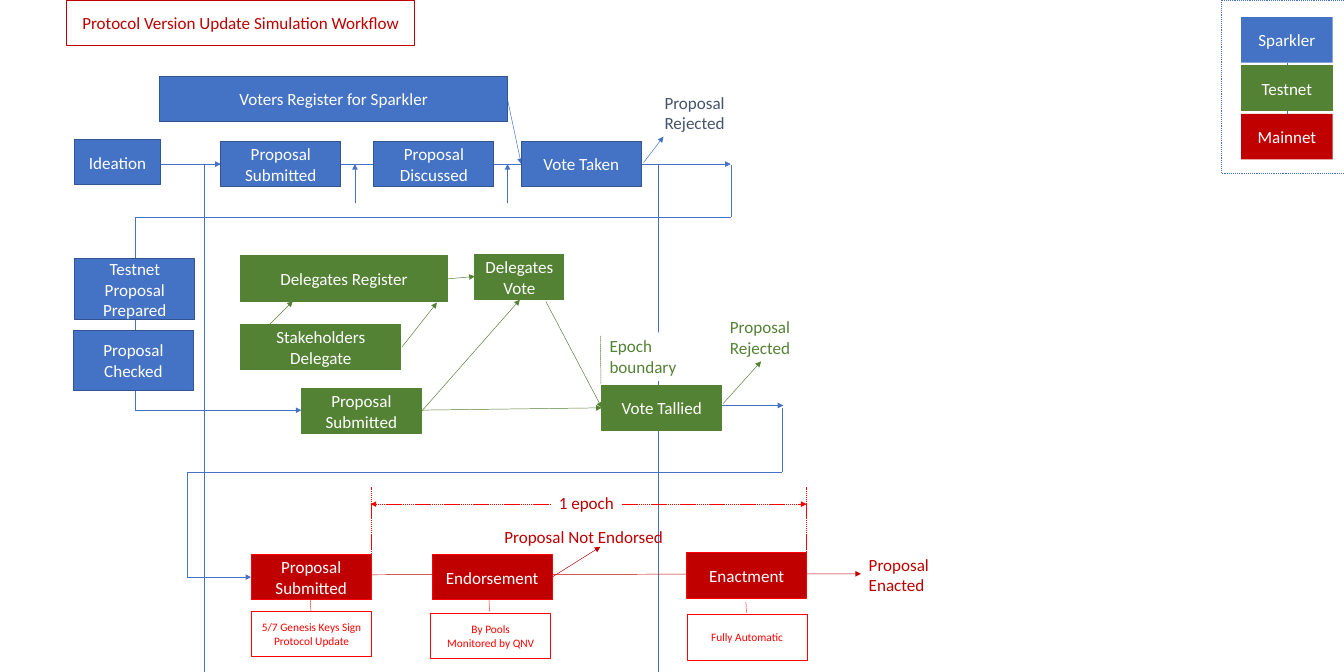
"""Build the protocol version update simulation workflow slide."""
from lxml.etree import SubElement
from pptx import Presentation
from pptx.dml.color import RGBColor
from pptx.enum.dml import MSO_LINE
from pptx.enum.shapes import MSO_CONNECTOR, MSO_SHAPE
from pptx.enum.text import MSO_ANCHOR, PP_ALIGN
from pptx.oxml.ns import qn
from pptx.util import Pt

WHITE = RGBColor(0xFF, 0xFF, 0xFF)
BLUE = RGBColor(0x44, 0x72, 0xC4)
NAVY = RGBColor(0x32, 0x54, 0x91)
SLATE = RGBColor(0x44, 0x54, 0x6A)
GREEN = RGBColor(0x54, 0x82, 0x35)
DARK_RED = RGBColor(0xC0, 0x00, 0x00)
RED = RGBColor(0xFF, 0x00, 0x00)

SLIDE_WIDTH, SLIDE_HEIGHT = 1418, 708.5
STEP_WIDTH, STEP_HEIGHT, TALL_HEIGHT = 126.5, 48, 64
TITLE = "Protocol Version Update Simulation Workflow"
TITLE_BOX = (70.5, 0, 367, STEP_HEIGHT)

STYLES = {
    "sparkler": {"fill": BLUE, "border": NAVY, "color": WHITE},
    "testnet": {"fill": GREEN, "border": GREEN, "color": WHITE},
    "mainnet": {"fill": DARK_RED, "border": RED, "color": WHITE},
    "note": {"fill": WHITE, "border": RED, "color": RED, "size": 12},
}

STEPS = [
    ("Voters Register for Sparkler", "sparkler", 168.5, 80.5, 367, STEP_HEIGHT),
    ("Ideation", "sparkler", 79, 147, 90, STEP_HEIGHT),
    ("Proposal Submitted", "sparkler", 233, 149, STEP_WIDTH, STEP_HEIGHT),
    ("Proposal Discussed", "sparkler", 394.5, 149, STEP_WIDTH, STEP_HEIGHT),
    ("Vote Taken", "sparkler", 550, 149, STEP_WIDTH, STEP_HEIGHT),
    ("Testnet\nProposal\nPrepared", "sparkler", 79, 273, STEP_WIDTH, TALL_HEIGHT),
    ("Proposal\nChecked", "sparkler", 77.5, 348, STEP_WIDTH, TALL_HEIGHT),
    ("Delegates Register", "testnet", 253.5, 269.5, 219, STEP_HEIGHT),
    ("Stakeholders Delegate", "testnet", 254, 342, 169, STEP_HEIGHT),
    ("Delegates Vote", "testnet", 501, 268, 94, STEP_HEIGHT),
    ("Proposal Submitted", "testnet", 318, 409.5, STEP_WIDTH, STEP_HEIGHT),
    ("Vote Tallied", "testnet", 635, 406, STEP_WIDTH, STEP_HEIGHT),
    ("Proposal Submitted", "mainnet", 265, 584.5, STEP_WIDTH, STEP_HEIGHT),
    ("Endorsement", "mainnet", 456, 584.5, STEP_WIDTH, STEP_HEIGHT),
    ("Enactment", "mainnet", 724.5, 582.5, STEP_WIDTH, STEP_HEIGHT),
    ("5/7 Genesis Keys Sign\nProtocol Update", "note", 265.5, 644.5, STEP_WIDTH, STEP_HEIGHT),
    ("By Pools\nMonitored by QNV", "note", 454.5, 646.5, STEP_WIDTH, STEP_HEIGHT),
    ("Fully Automatic", "note", 725, 648, STEP_WIDTH, STEP_HEIGHT),
]

LABELS = [
    ("Proposal\nRejected", SLATE, None, 694, 93.5, 78.5, 51),
    ("Proposal\nRejected", GREEN, None, 763, 330.5, 78.5, 51),
    ("Proposal\nEnacted", DARK_RED, None, 909.5, 581, 78.5, 51),
    ("Proposal Not Endorsed", DARK_RED, None, 525, 551, 220, 29),
    ("1 epoch", DARK_RED, WHITE, 582.5, 515.5, 73.5, 29),
    ("Epoch boundary", GREEN, WHITE, 636, 350.5, 98.5, 51),
]

LEGEND = [("Sparkler", BLUE, None), ("Testnet", GREEN, GREEN), ("Mainnet", DARK_RED, None)]
LEGEND_FRAME = (1289, 0, 129, 183)
LEGEND_LEFT, LEGEND_TOP, LEGEND_WIDTH, LEGEND_PITCH = 1309.5, 18, 96.5, 51

ARROWS = [
    (BLUE, [(84, 173), (771, 173)]),
    (BLUE, [(535.5, 105), (550, 173)]),
    (BLUE, [(374.5, 214.5), (374.5, 173)]),
    (BLUE, [(535.5, 214.5), (535.5, 173)]),
    (BLUE, [(215.5, 173), (233, 173)]),
    (BLUE, [(679, 171.5), (700, 144)]),
    (BLUE, [(771, 174), (771, 229), (142.5, 229), (142.5, 432.5), (318, 432.5)]),
    (BLUE, [(761, 427.5), (826.5, 427.5)]),
    (BLUE, [(825, 430), (825, 498), (197.5, 498), (197.5, 608.5), (265, 608.5)]),
    (GREEN, [(318, 434), (635, 430)]),
    (GREEN, [(576, 318), (635, 430)]),
    (GREEN, [(284.5, 342), (309, 317.5)]),
    (GREEN, [(424, 366), (461, 319)]),
    (GREEN, [(763, 425.5), (803, 381)]),
    (GREEN, [(472.5, 294), (501, 291.5)]),
    (GREEN, [(444.5, 434), (548.5, 316)]),
    (DARK_RED, [(386.5, 606), (908.5, 605)]),
    (DARK_RED, [(582.5, 608.5), (633.5, 576.5)]),
]

PLAIN_LINES = [
    (BLUE, [(215.5, 173), (215.5, SLIDE_HEIGHT)]),
    (BLUE, [(694, 173), (694, SLIDE_HEIGHT)]),
    (BLUE, [(1358, 66), (1358, 158)]),
]

DASHED_LINES = [
    (RED, [(391.5, 513.5), (391.5, 608.5)]),
    (RED, [(851, 513.5), (851, 606)]),
    (GREEN, [(633.5, 354), (634, 404.5)]),
    (RED, [(327.5, 633), (328, 644.5)]),
    (RED, [(516, 633), (516.5, 645)]),
    (RED, [(787, 634.5), (787.5, 646)]),
]

EPOCH_SPAN = (RED, [(391, 531.5), (851, 531.5)])


def place(shape, left, top, width, height):
    shape.left, shape.top = Pt(left), Pt(top)
    shape.width, shape.height = Pt(width), Pt(height)


def write(shape, text, color, size=18, align=PP_ALIGN.CENTER, anchor=MSO_ANCHOR.MIDDLE, wrap=True):
    frame = shape.text_frame
    frame.word_wrap = wrap
    frame.vertical_anchor = anchor
    paragraph = frame.paragraphs[0]
    paragraph.text = text
    paragraph.alignment = align
    for run in paragraph.runs:
        run.font.name = "Calibri"
        run.font.size = Pt(size)
        run.font.color.rgb = color


def paint(shape, fill, border):
    if fill is None:
        shape.fill.background()
    else:
        shape.fill.solid()
        shape.fill.fore_color.rgb = fill
    if border is None:
        shape.line.fill.background()
    else:
        shape.line.color.rgb = border
        shape.line.width = Pt(1)


def add_box(slide, box, fill, border):
    shape = slide.shapes.add_shape(MSO_SHAPE.RECTANGLE, *map(Pt, box))
    shape.shadow.inherit = False
    paint(shape, fill, border)
    return shape


def add_route(slide, color, points, dashed=False, ends=()):
    last = len(points) - 2
    for index, (start, finish) in enumerate(zip(points, points[1:])):
        connector = slide.shapes.add_connector(
            MSO_CONNECTOR.STRAIGHT, *map(Pt, start + finish))
        connector.line.color.rgb = color
        connector.line.width = Pt(0.5)
        if dashed:
            connector.line.dash_style = MSO_LINE.SQUARE_DOT
        properties = connector._element.spPr
        if index == last:
            for end in ends:
                SubElement(properties.find(qn("a:ln")), qn(end), type="triangle")
        SubElement(properties, qn("a:effectLst"))


presentation = Presentation()
presentation.slide_width, presentation.slide_height = Pt(SLIDE_WIDTH), Pt(SLIDE_HEIGHT)
slide = presentation.slides.add_slide(presentation.slide_layouts[5])

title = slide.shapes.title
place(title, *TITLE_BOX)
paint(title, WHITE, DARK_RED)
write(title, TITLE, DARK_RED)

for color, points in PLAIN_LINES:
    add_route(slide, color, points)
for color, points in DASHED_LINES:
    add_route(slide, color, points, dashed=True)
for color, points in ARROWS:
    add_route(slide, color, points, ends=["a:tailEnd"])
add_route(slide, *EPOCH_SPAN, dashed=True, ends=["a:headEnd", "a:tailEnd"])

for text, kind, *box in STEPS:
    style = STYLES[kind]
    step = add_box(slide, box, style["fill"], style["border"])
    write(step, text, style["color"], style.get("size", 18))

for text, color, fill, *box in LABELS:
    label = slide.shapes.add_textbox(*map(Pt, box))
    paint(label, fill, None)
    write(label, text, color, align=PP_ALIGN.LEFT, anchor=MSO_ANCHOR.TOP, wrap="\n" not in text)

frame = add_box(slide, LEGEND_FRAME, None, BLUE)
frame.line.dash_style = MSO_LINE.ROUND_DOT
for index, (text, fill, border) in enumerate(LEGEND):
    top = LEGEND_TOP + index * LEGEND_PITCH
    key = add_box(slide, (LEGEND_LEFT, top, LEGEND_WIDTH, STEP_HEIGHT), fill, border)
    write(key, text, WHITE)

presentation.save("out.pptx")
